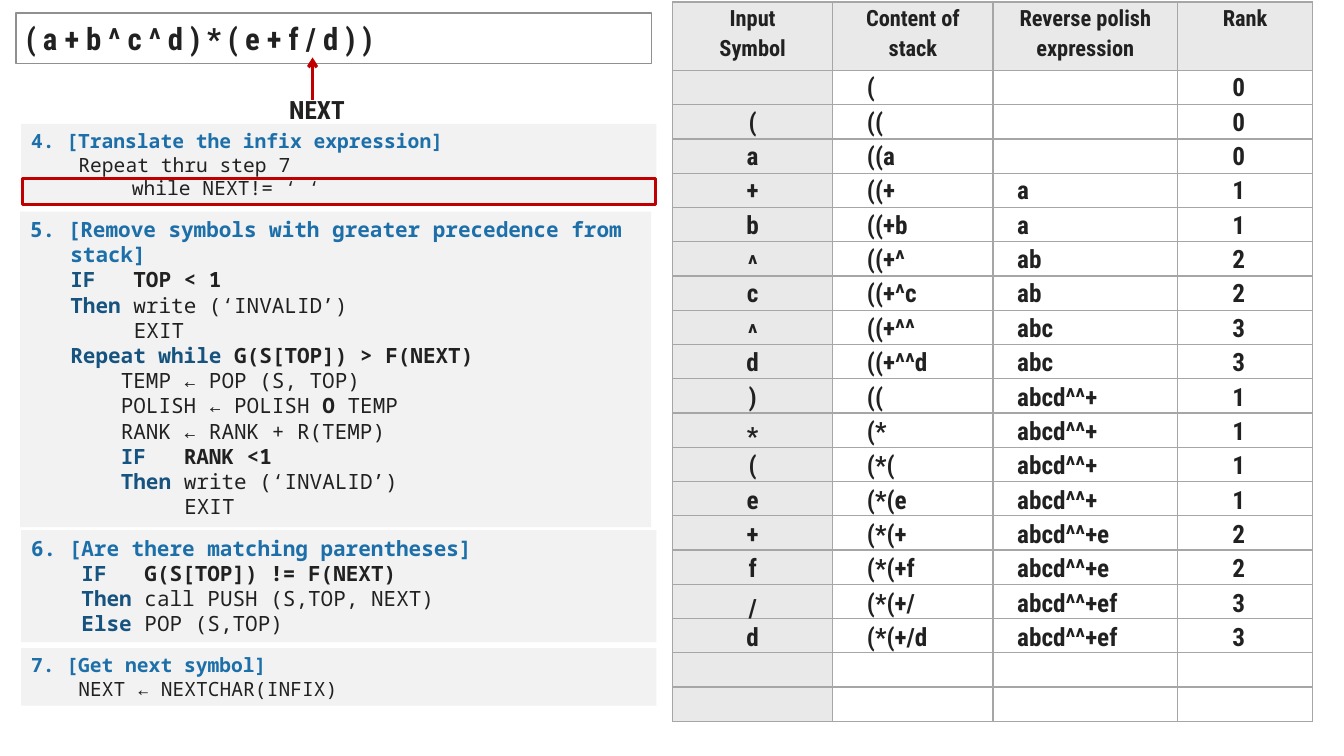
from lxml.etree import SubElement
from pptx import Presentation
from pptx.dml.color import RGBColor
from pptx.enum.shapes import MSO_CONNECTOR, MSO_SHAPE
from pptx.enum.text import MSO_ANCHOR, MSO_AUTO_SIZE, PP_ALIGN
from pptx.oxml.ns import qn
from pptx.util import Inches, Pt

SANS, MONO = "Roboto Condensed", "Noto Sans Mono"
INK, RED, GREY = "212121", "C00000", "A6A6A6"

# Run styles: colour, bold
TITLE, KEYWORD = ("1D6FA9", True), ("16537F", True)
BOLD, PLAIN = (INK, True), (INK, False)

HEADERS = ["Input\vSymbol", "Content of stack", "Reverse polish expression", "Rank"]
COLUMN_WIDTHS = [1.59, 1.59, 1.83, 1.34]
BLANK_ROWS = 2
ROW_HEIGHT = 0.34
TRACE = [
    ("", "(", "", 0),
    ("(", "((", "", 0),
    ("a", "((a", "", 0),
    ("+", "((+", "a", 1),
    ("b", "((+b", "a", 1),
    ("^", "((+^", "ab", 2),
    ("c", "((+^c", "ab", 2),
    ("^", "((+^^", "abc", 3),
    ("d", "((+^^d", "abc", 3),
    (")", "((", "abcd^^+", 1),
    ("*", "(*", "abcd^^+", 1),
    ("(", "(*(", "abcd^^+", 1),
    ("e", "(*(e", "abcd^^+", 1),
    ("+", "(*(+", "abcd^^+e", 2),
    ("f", "(*(+f", "abcd^^+e", 2),
    ("/", "(*(+/", "abcd^^+ef", 3),
    ("d", "(*(+/d", "abcd^^+ef", 3),
]
# Left, width and alignment of the entries in each column
ENTRY_COLUMNS = [
    (7.07, 0.79, PP_ALIGN.CENTER),
    (8.5, 0.98, PP_ALIGN.LEFT),
    (9.99, 1.38, PP_ALIGN.LEFT),
    (11.95, 0.67, PP_ALIGN.CENTER),
]
LOWERED_SYMBOLS = ("^", "*", "/")

# Steps: left, top, width, height, font size, lines of (indent, runs)
STEPS = [
    (0.21, 1.23, 6.3, 0.81, 14, [
        (0.4, [("4. [Translate the infix expression]", TITLE)]),
        (0.47, [("Repeat thru step 7", PLAIN)]),
        (1, [("while NEXT!= ‘ ‘", PLAIN)]),
    ]),
    (0.2, 2.1, 6.26, 3.13, 15, [
        (0.4, [("5. [Remove symbols with greater precedence from stack]", TITLE)]),
        (0.4, [("IF", KEYWORD), ("   TOP < 1", BOLD)]),
        (0.4, [("Then ", KEYWORD), ("write (‘INVALID’)", PLAIN)]),
        (1.03, [("EXIT", PLAIN)]),
        (0.4, [("Repeat while", KEYWORD), (" G(S[TOP]) > F(NEXT)", BOLD)]),
        (0.9, [("TEMP ← POP (S, TOP)", PLAIN)]),
        (0.9, [("POLISH ← POLISH ", PLAIN), ("O", BOLD), (" TEMP", PLAIN)]),
        (0.9, [("RANK ← RANK + R(TEMP)", PLAIN)]),
        (0.9, [("IF", KEYWORD), ("   RANK <1", BOLD)]),
        (0.9, [("Then ", KEYWORD), ("write (‘INVALID’)", PLAIN)]),
        (1.53, [("EXIT", PLAIN)]),
    ]),
    (0.21, 5.26, 6.3, 1.11, 15, [
        (0.4, [("6. [Are there matching parentheses]", TITLE)]),
        (0.5, [("IF", KEYWORD), ("   G(S[TOP]) != F(NEXT)", BOLD)]),
        (0.5, [("Then ", KEYWORD), ("call PUSH (S,TOP, NEXT)", PLAIN)]),
        (0.5, [("Else ", KEYWORD), ("POP (S,TOP)", PLAIN)]),
    ]),
    (0.21, 6.43, 6.3, 0.57, 14, [
        (0.4, [("7. [Get next symbol]", TITLE)]),
        (0.47, [("NEXT ← NEXTCHAR(INFIX)", PLAIN)]),
    ]),
]


def color(value):
    return RGBColor.from_string(value)


def set_font(font, size, name=SANS, style=BOLD):
    font.name, font.size = name, Pt(size)
    font.color.rgb, font.bold = color(style[0]), style[1]


def add_rectangle(slide, left, top, width, height, fill=None, line=None, line_width=1):
    shape = slide.shapes.add_shape(
        MSO_SHAPE.RECTANGLE, Inches(left), Inches(top), Inches(width), Inches(height))
    shape.shadow.inherit = False
    if fill:
        shape.fill.solid()
        shape.fill.fore_color.rgb = color(fill)
    else:
        shape.fill.background()
    if line:
        shape.line.color.rgb = color(line)
        shape.line.width = Pt(line_width)
    else:
        shape.line.fill.background()
    return shape


def add_label(shapes, text, left, top, width, align=PP_ALIGN.LEFT, wrap=True):
    box = shapes.add_textbox(Inches(left), Inches(top), Inches(width), Inches(0.4))
    frame = box.text_frame
    frame.word_wrap = wrap
    frame.auto_size = MSO_AUTO_SIZE.SHAPE_TO_FIT_TEXT
    paragraph = frame.paragraphs[0]
    paragraph.text = text
    paragraph.alignment = align
    set_font(paragraph.font, 18)


def add_formula(slide):
    shape = add_rectangle(slide, 0.16, 0.13, 6.3, 0.5, "FFFFFF", "909090")
    paragraph = shape.text_frame.paragraphs[0]
    paragraph.text = "( a + b ^ c ^ d ) * ( e + f / d ) )"
    paragraph.alignment = PP_ALIGN.LEFT
    set_font(paragraph.font, 22)


def add_next_pointer(slide):
    group = slide.shapes.add_group_shape()
    arrow = group.shapes.add_connector(
        MSO_CONNECTOR.STRAIGHT, Inches(3.1), Inches(0.99), Inches(3.1), Inches(0.57))
    arrow.line.color.rgb = color(RED)
    arrow.line.width = Pt(2.25)
    SubElement(arrow.line._get_or_add_ln(), qn("a:tailEnd"), type="arrow")
    SubElement(arrow._element.spPr, qn("a:effectLst"))
    add_label(group.shapes, "NEXT", 2.77, 0.89, 0.75, wrap=False)


def add_step(slide, left, top, width, height, size, lines):
    shape = add_rectangle(slide, left, top, width, height, "F2F2F2")
    frame = shape.text_frame
    frame.word_wrap = True
    frame.vertical_anchor = MSO_ANCHOR.TOP
    frame.auto_size = MSO_AUTO_SIZE.SHAPE_TO_FIT_TEXT
    for number, (indent, runs) in enumerate(lines):
        paragraph = frame.add_paragraph() if number else frame.paragraphs[0]
        paragraph.alignment = PP_ALIGN.LEFT
        properties = paragraph._p.get_or_add_pPr()
        properties.set("marL", str(Inches(indent)))
        properties.set("indent", "0" if number else str(-Inches(indent)))
        for text, style in runs:
            run = paragraph.add_run()
            run.text = text
            set_font(run.font, size, MONO, style)


def set_borders(cell):
    properties = cell._tc.get_or_add_tcPr()
    for side in ("a:lnL", "a:lnR", "a:lnT", "a:lnB"):
        line = SubElement(properties, qn(side), w=str(Pt(1)))
        SubElement(SubElement(line, qn("a:solidFill")), qn("a:srgbClr"), val=GREY)


def add_trace_table(slide):
    row_count = 1 + len(TRACE) + BLANK_ROWS
    table = slide.shapes.add_table(
        row_count, len(HEADERS), Inches(6.67), Inches(0.02),
        Inches(sum(COLUMN_WIDTHS)), Inches(ROW_HEIGHT * (row_count + 1))).table
    table.first_row = table.horz_banding = False
    for column, width in zip(table.columns, COLUMN_WIDTHS):
        column.width = Inches(width)
    for row_index, row in enumerate(table.rows):
        row.height = Inches(ROW_HEIGHT if row_index else 2 * ROW_HEIGHT)
        for column_index, cell in enumerate(row.cells):
            cell.margin_left = cell.margin_right = Inches(0.07)
            cell.margin_top = cell.margin_bottom = 0
            set_borders(cell)
            if row_index == 0 or column_index == 0:
                cell.fill.solid()
                cell.fill.fore_color.rgb = color("E9E9E9")
            else:
                cell.fill.background()
            paragraph = cell.text_frame.paragraphs[0]
            set_font(paragraph.font, 16)
            if row_index == 0:
                paragraph.text = HEADERS[column_index]
                paragraph.alignment = PP_ALIGN.CENTER
                paragraph.line_spacing = 1.15


def add_trace_entries(slide):
    for row_index, entries in enumerate(TRACE):
        for entry, (left, width, align) in zip(entries, ENTRY_COLUMNS):
            top = 0.66 + 0.341 * row_index + (0.05 if entry in LOWERED_SYMBOLS else 0)
            if entry != "":
                add_label(slide.shapes, str(entry), left, top, width, align)


def main():
    presentation = Presentation()
    presentation.slide_width, presentation.slide_height = Inches(13.33), Inches(7.5)
    slide = presentation.slides.add_slide(presentation.slide_layouts[6])
    add_trace_table(slide)
    add_formula(slide)
    add_next_pointer(slide)
    for step in STEPS:
        add_step(slide, *step)
    add_rectangle(slide, 0.22, 1.77, 6.28, 0.26, line=RED, line_width=2.25)
    add_trace_entries(slide)
    presentation.save("out.pptx")


if __name__ == "__main__":
    main()
